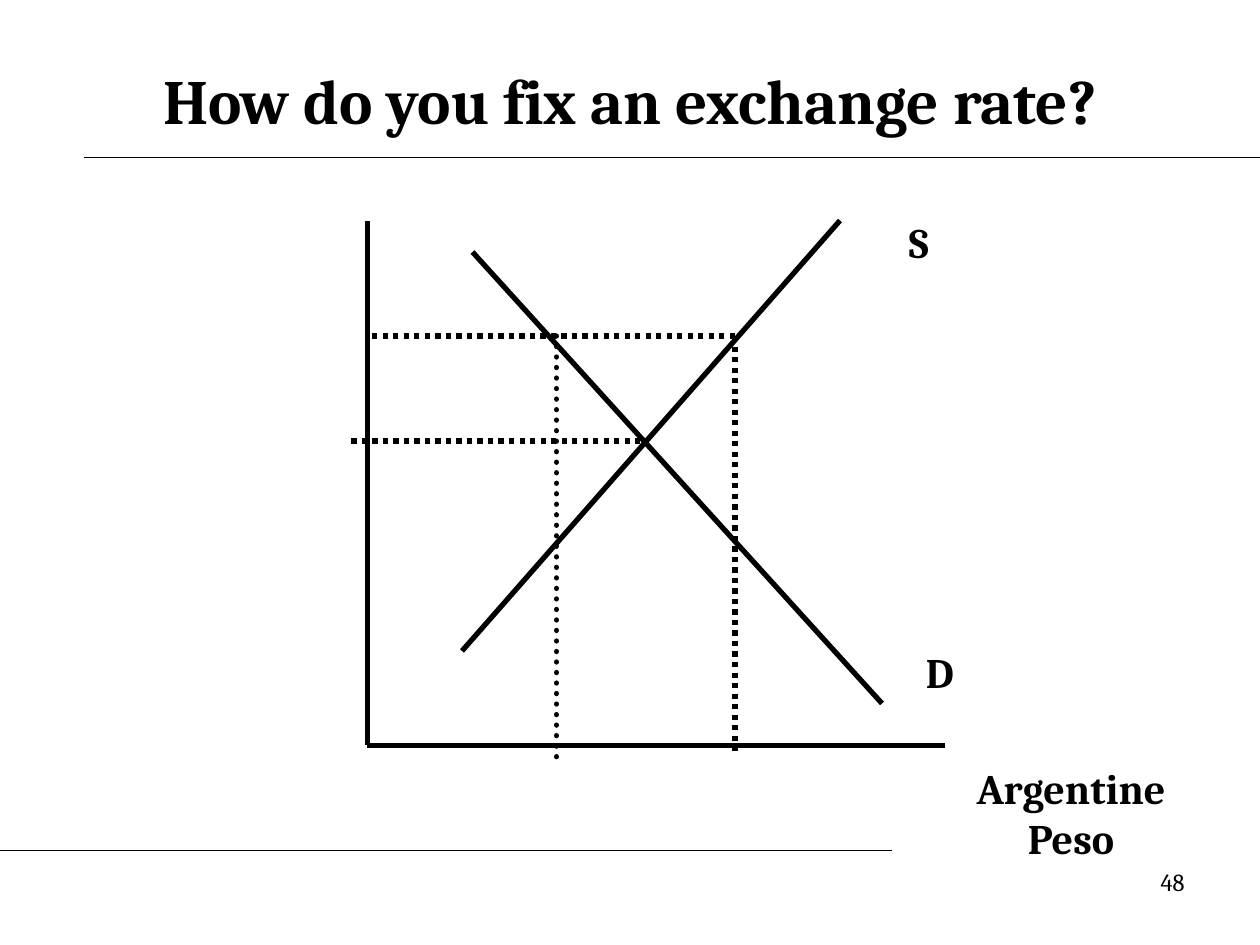
from pptx import Presentation
from pptx.dml.color import RGBColor
from pptx.enum.dml import MSO_LINE
from pptx.enum.shapes import MSO_CONNECTOR
from pptx.enum.text import MSO_ANCHOR as Anchor, MSO_AUTO_SIZE as AutoSize, PP_ALIGN as Align
from pptx.oxml.ns import qn
from pptx.util import Emu, Pt
from lxml.etree import SubElement

EMU_PER_PX = 7620  # 120 px to the inch
TITLE_ONLY = 5


def px(length):
    return Emu(length * EMU_PER_PX)


def color(hex_string):
    return RGBColor.from_string(hex_string)


class SlideBuilder:
    font = "Cambria"
    ink = "000000"
    paper = "FFFFFF"

    def __init__(self, deck):
        self.slide = deck.slides.add_slide(deck.slide_layouts[TITLE_ONLY])
        fill = self.slide.background.fill
        fill.solid()
        fill.fore_color.rgb = color(self.paper)

    def set_text(self, box, text, size, bold, align, anchor):
        frame = box.text_frame
        frame.word_wrap = True
        frame.auto_size = AutoSize.NONE
        frame.vertical_anchor = anchor
        para = frame.paragraphs[0]
        para.alignment = align
        span = para.add_run()
        span.text = text
        span.font.name = self.font
        span.font.size = Pt(size)
        span.font.bold = bold
        span.font.color.rgb = color(self.ink)

    def title(self, text, left, top, width, height):
        box = self.slide.shapes.title
        box.left, box.top, box.width, box.height = map(px, (left, top, width, height))
        self.set_text(box, text, 36, True, Align.CENTER, Anchor.MIDDLE)

    def label(self, text, left, top, width, height, size=24, bold=True, align=Align.CENTER):
        box = self.slide.shapes.add_textbox(*map(px, (left, top, width, height)))
        self.set_text(box, text, size, bold, align, Anchor.TOP)

    def line(self, start, end, weight=3):
        connector = self.slide.shapes.add_connector(
            MSO_CONNECTOR.STRAIGHT, *map(px, (*start, *end)))
        connector.line.color.rgb = color(self.ink)
        connector.line.width = Pt(weight)
        SubElement(connector._element.spPr, qn("a:effectLst"))
        return connector

    def dotted_line(self, start, end, round_dots=False):
        connector = self.line(start, end)
        connector.line.dash_style = MSO_LINE.ROUND_DOT  # stored as sysDot
        if round_dots:
            connector._element.spPr.find(qn("a:ln")).set("cap", "rnd")


def main():
    deck = Presentation()
    deck.slide_width, deck.slide_height = px(1200), px(900)
    page = SlideBuilder(deck)

    page.title("How do you fix an exchange rate?", 60, 40, 1080, 110)
    for start, end in (((80, 150), (1200, 150)),
                       ((150, 150), (1200, 150)),
                       ((0, 810), (850, 810))):
        page.line(start, end, weight=0.75)

    # Axes
    axis_x, axis_y = 350, 710
    page.line((axis_x, 210), (axis_x, axis_y))
    page.line((axis_x, axis_y), (900, axis_y))
    page.label("Argentine Peso", 880, 720, 280, 108)

    # Demand and supply
    page.line((450, 240), (840, 670))
    page.label("D", 840, 610, 110, 60)
    page.line((440, 620), (800, 210))
    page.label("S", 820, 200, 110, 60)

    # Market rate, fixed rate and the quantities at the fixed rate
    market_rate, fixed_rate = 420, 320
    demanded, supplied = 530, 700
    page.dotted_line((610, market_rate), (330, market_rate))
    page.dotted_line((supplied, fixed_rate), (axis_x, fixed_rate))
    page.dotted_line((demanded, fixed_rate), (demanded, 730), round_dots=True)
    page.dotted_line((supplied, fixed_rate), (supplied, 720))

    page.label("48", 860, 820, 280, 62, size=14, bold=False, align=Align.RIGHT)

    deck.save("out.pptx")


if __name__ == "__main__":
    main()
